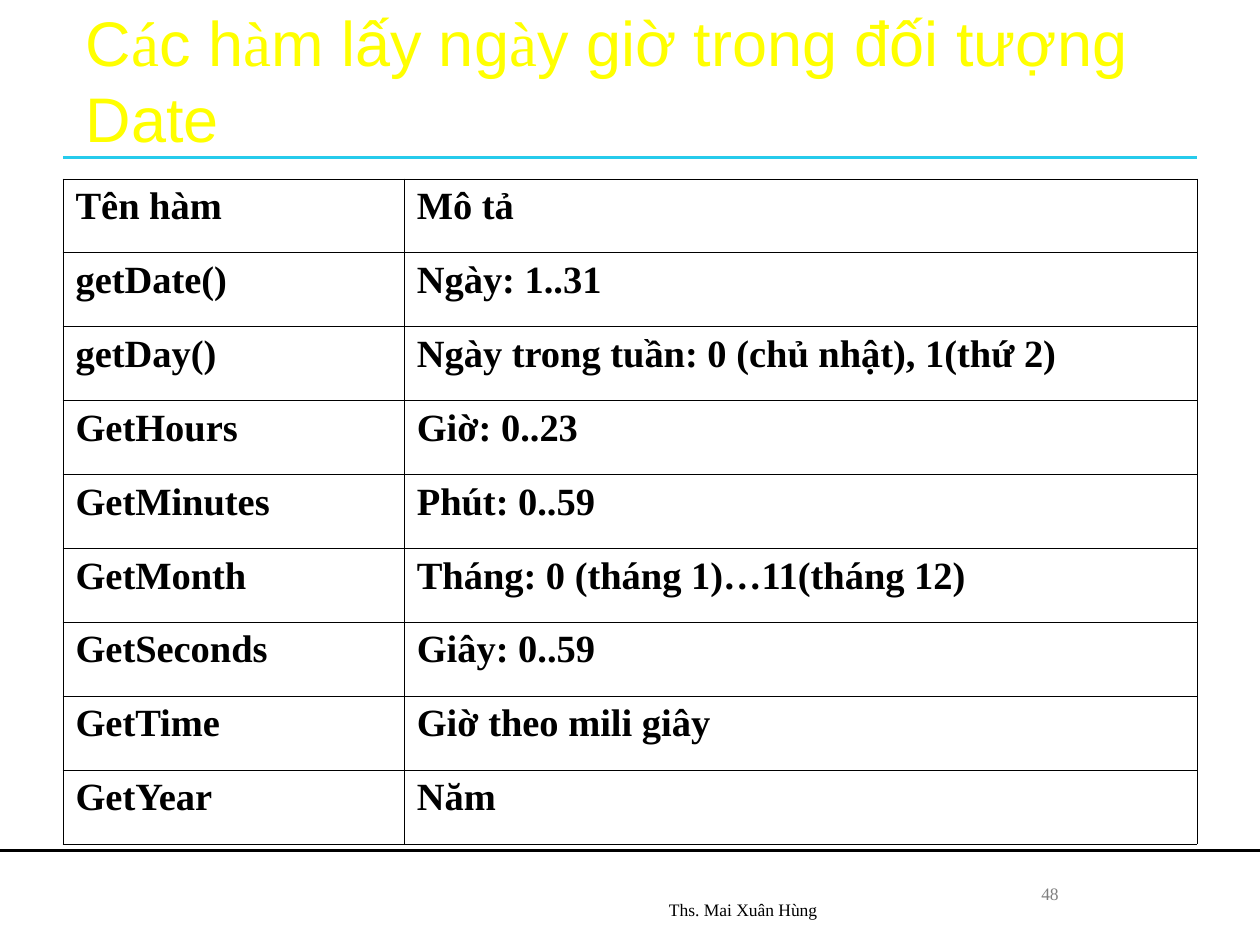
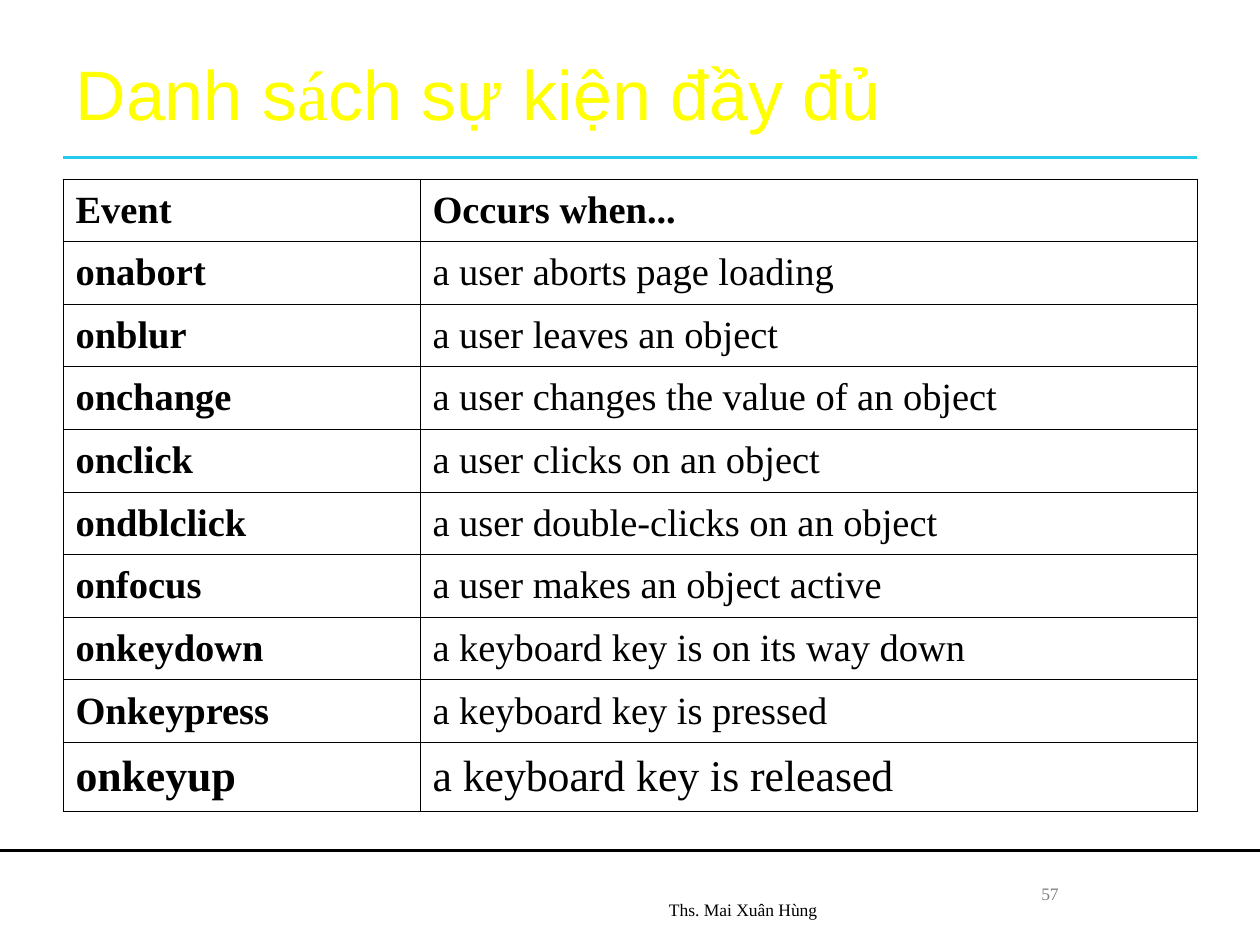
"""Build two table slides on JavaScript date functions and events."""
import itertools

import lxml.etree
import pptx
import pptx.dml.color
import pptx.enum.text
import pptx.oxml.ns
import pptx.util

Pt = pptx.util.Pt
RGBColor = pptx.dml.color.RGBColor
ALIGN = pptx.enum.text.PP_ALIGN
ANCHOR = pptx.enum.text.MSO_ANCHOR
qn = pptx.oxml.ns.qn

YELLOW = RGBColor(0xFF, 0xFF, 0x00)
CYAN = RGBColor(0x26, 0xCB, 0xEC)
BLACK = RGBColor(0x00, 0x00, 0x00)
GRAY = RGBColor(0x7F, 0x7F, 0x7F)
TITLE_FONT = "Arial"
BODY_FONT = "Times New Roman"
SERIF_LETTERS = "áà"
AUTHOR = "Ths. Mai Xuân Hùng"
TABLE_LEFT, TABLE_TOP, TABLE_WIDTH = 36, 102.24, 648
BORDER_WIDTH = 0.45
HANGING_INDENT = 27

RULES = [
    (0, 486, 720, BLACK, 2.24),
    (36, 90, 684, CYAN, 1.5),
]

SLIDES = [
    {
        "title": "Các hàm lấy ngày giờ trong đối tượng Date",
        "title_box": (41.76, 12.24, 642.24, 66.24),
        "title_size": 36,
        "number": "48",
        "first_column": 195,
        "row_heights": [42.24] * 9,
        "text_sizes": [22] * 9,
        "align": ALIGN.JUSTIFY,
        "anchor": ANCHOR.TOP,
        "bold_descriptions": True,
        "rows": [
            ("Tên hàm", "Mô tả"),
            ("getDate()", "Ngày: 1..31"),
            ("getDay()", "Ngày trong tuần: 0 (chủ nhật), 1(thứ 2)"),
            ("GetHours", "Giờ: 0..23"),
            ("GetMinutes", "Phút: 0..59"),
            ("GetMonth", "Tháng: 0 (tháng 1)…11(tháng 12)"),
            ("GetSeconds", "Giây: 0..59"),
            ("GetTime", "Giờ theo mili giây"),
            ("GetYear", "Năm"),
        ],
    },
    {
        "title": "Danh sách sự kiện đầy đủ",
        "title_box": (36, 21.6, 648, 62.64),
        "title_size": 40,
        "number": "57",
        "first_column": 204,
        "row_heights": [35.78] * 9 + [39.6],
        "text_sizes": [22] * 9 + [25],
        "align": ALIGN.LEFT,
        "anchor": ANCHOR.MIDDLE,
        "bold_descriptions": False,
        "rows": [
            ("Event", "Occurs when..."),
            ("onabort", "a user aborts page loading"),
            ("onblur", "a user leaves an object"),
            ("onchange", "a user changes the value of an object"),
            ("onclick", "a user clicks on an object"),
            ("ondblclick", "a user double-clicks on an object"),
            ("onfocus", "a user makes an object active"),
            ("onkeydown", "a keyboard key is on its way down"),
            ("Onkeypress", "a keyboard key is pressed"),
            ("onkeyup", "a keyboard key is released"),
        ],
    },
]


def format_font(font, name, size, color, bold=False):
    font.name = name
    font.size = Pt(size)
    font.color.rgb = color
    font.bold = bold


def add_borders(cell):
    properties = cell._tc.get_or_add_tcPr()
    for side in ("a:lnL", "a:lnR", "a:lnT", "a:lnB"):
        border = lxml.etree.SubElement(properties, qn(side), w=str(Pt(BORDER_WIDTH)))
        fill = lxml.etree.SubElement(border, qn("a:solidFill"))
        lxml.etree.SubElement(fill, qn("a:srgbClr"), val=str(BLACK))


presentation = pptx.Presentation()
presentation.slide_width = Pt(720)
presentation.slide_height = Pt(540)
title_only_layout = presentation.slide_layouts[5]

for content in SLIDES:
    slide = presentation.slides.add_slide(title_only_layout)

    for left, top, right, color, width in RULES:
        rule = slide.shapes.add_connector(
            pptx.enum.shapes.MSO_CONNECTOR.STRAIGHT, Pt(left), Pt(top), Pt(right), Pt(top)
        )
        rule.line.color.rgb = color
        rule.line.width = Pt(width)
        lxml.etree.SubElement(rule._element.spPr, qn("a:effectLst"))

    title = slide.shapes.title
    title.left, title.top, title.width, title.height = map(Pt, content["title_box"])
    title.text_frame.auto_size = pptx.enum.text.MSO_AUTO_SIZE.NONE
    title.text_frame.vertical_anchor = ANCHOR.MIDDLE
    paragraph = title.text_frame.paragraphs[0]
    paragraph.alignment = ALIGN.LEFT
    for serif, letters in itertools.groupby(content["title"], lambda letter: letter in SERIF_LETTERS):
        run = paragraph.add_run()
        run.text = "".join(letters)
        format_font(run.font, BODY_FONT if serif else TITLE_FONT, content["title_size"], YELLOW)

    rows, row_heights = content["rows"], content["row_heights"]
    table = slide.shapes.add_table(
        len(rows), 2, Pt(TABLE_LEFT), Pt(TABLE_TOP), Pt(TABLE_WIDTH), Pt(sum(row_heights))
    ).table
    table.first_row = False
    table.horz_banding = False
    table.columns[0].width = Pt(content["first_column"])
    table.columns[1].width = Pt(TABLE_WIDTH - content["first_column"])
    for row_index, texts in enumerate(rows):
        table.rows[row_index].height = Pt(row_heights[row_index])
        for column_index, text in enumerate(texts):
            cell = table.cell(row_index, column_index)
            add_borders(cell)
            cell.fill.background()
            cell.vertical_anchor = content["anchor"]
            cell.text_frame.text = text
            paragraph = cell.text_frame.paragraphs[0]
            paragraph.alignment = content["align"]
            paragraph_properties = paragraph._p.get_or_add_pPr()
            paragraph_properties.set("marL", str(Pt(HANGING_INDENT)))
            paragraph_properties.set("indent", str(-Pt(HANGING_INDENT)))
            bold = row_index == 0 or column_index == 0 or content["bold_descriptions"]
            format_font(paragraph.runs[0].font, BODY_FONT, content["text_sizes"][row_index], BLACK, bold)

    footers = [
        (content["number"], 516, 168, ANCHOR.MIDDLE, ALIGN.CENTER, GRAY),
        (AUTHOR, 246, 228, ANCHOR.BOTTOM, ALIGN.RIGHT, BLACK),
    ]
    for text, left, width, anchor, alignment, color in footers:
        footer = slide.shapes.add_textbox(Pt(left), Pt(492), Pt(width), Pt(37.5))
        footer.text_frame.word_wrap = True
        footer.text_frame.vertical_anchor = anchor
        footer.text_frame.text = text
        paragraph = footer.text_frame.paragraphs[0]
        paragraph.alignment = alignment
        format_font(paragraph.runs[0].font, BODY_FONT, 10, color)

presentation.save("out.pptx")
